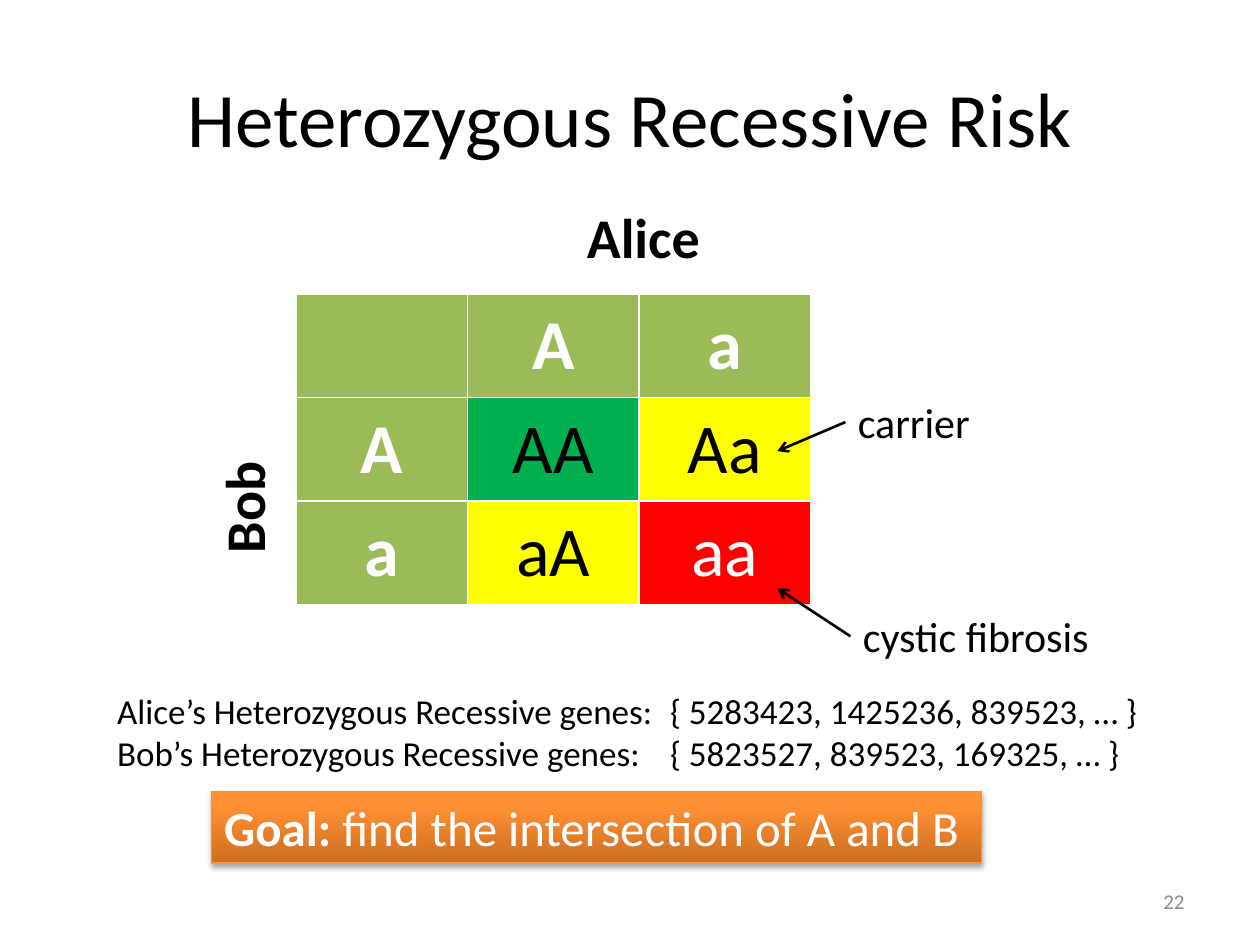
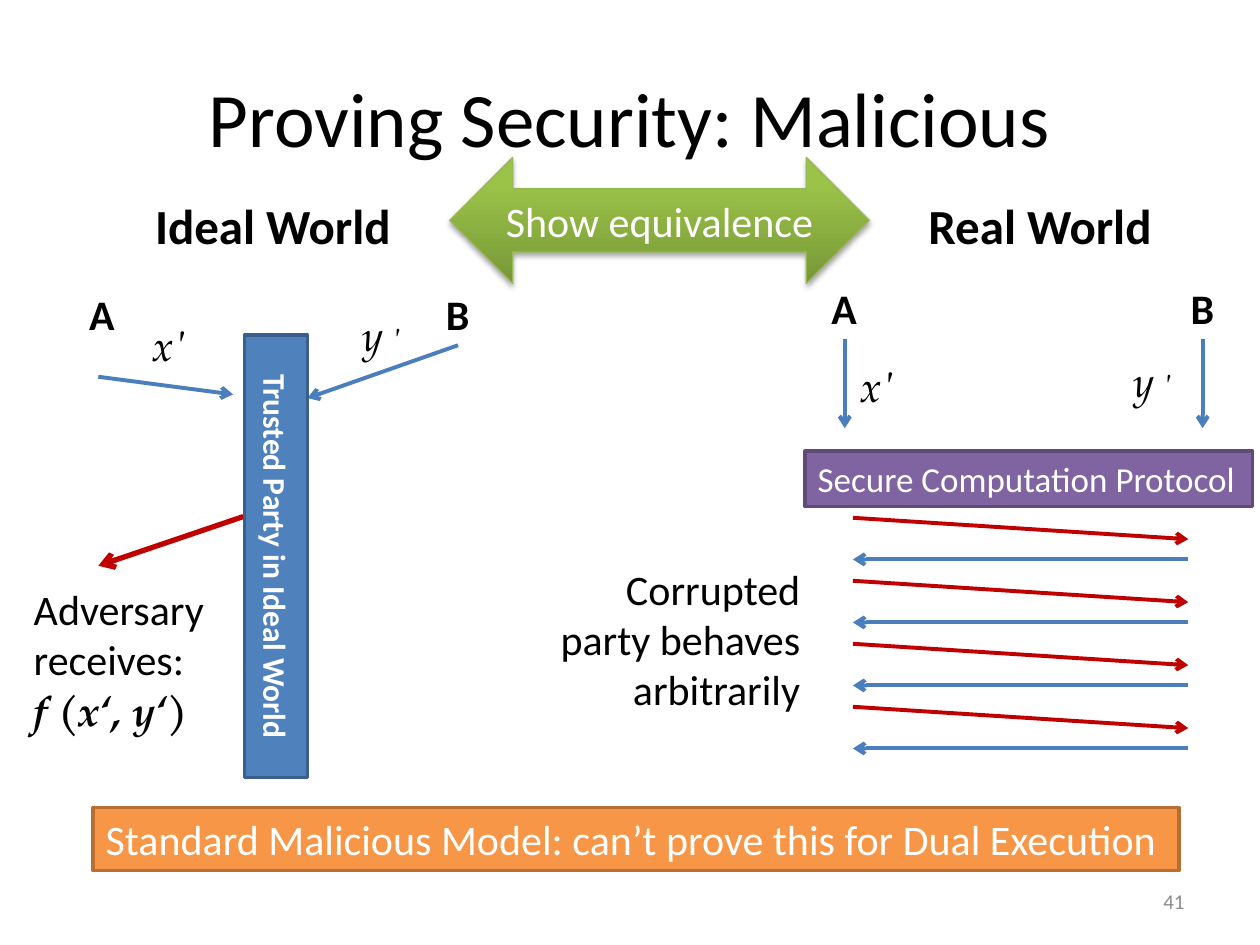
from lxml.etree import SubElement
from pptx import Presentation
from pptx.dml.color import RGBColor
from pptx.enum.shapes import MSO_CONNECTOR, MSO_SHAPE
from pptx.enum.text import MSO_ANCHOR, MSO_AUTO_SIZE, PP_ALIGN
from pptx.oxml.ns import qn
from pptx.util import Pt

BLACK = RGBColor(0x00, 0x00, 0x00)
WHITE = RGBColor(0xFF, 0xFF, 0xFF)
GREY = RGBColor(0x8C, 0x8C, 0x8C)
OLIVE = RGBColor(0x9B, 0xBB, 0x59)
GREEN = RGBColor(0x00, 0xB0, 0x50)
YELLOW = RGBColor(0xFF, 0xFF, 0x00)
RED = RGBColor(0xFF, 0x00, 0x00)
CRIMSON = RGBColor(0xC0, 0x00, 0x00)
LINE_BLUE = RGBColor(0x4B, 0x7E, 0xBC)
BLUE, BLUE_EDGE = RGBColor(0x4F, 0x81, 0xBD), RGBColor(0x3A, 0x5F, 0x8C)
ORANGE, ORANGE_EDGE = RGBColor(0xF7, 0x96, 0x46), RGBColor(0xB7, 0x6F, 0x34)
PURPLE, PURPLE_EDGE = RGBColor(0x80, 0x64, 0xA2), RGBColor(0x5F, 0x4A, 0x78)
GLOSSY_ORANGE = (RGBColor(0xCC, 0x6E, 0x20), RGBColor(0xFF, 0x90, 0x34))
GLOSSY_GREEN = (RGBColor(0x77, 0x97, 0x37), RGBColor(0x9B, 0xC3, 0x48))
GLOSSY_ORANGE_EDGE = RGBColor(0xF6, 0x92, 0x40)
GLOSSY_GREEN_EDGE = RGBColor(0x98, 0xB9, 0x55)

SANS, SERIF = "Calibri", "TeX Gyre Pagella"
CENTER, RIGHT = PP_ALIGN.CENTER, PP_ALIGN.RIGHT
TOP, LEFT, BOTTOM = 0, 1, 2

PLAIN = {"name": SANS, "size": Pt(24), "bold": False, "italic": False}
BOLD = PLAIN | {"bold": True}
MATH = PLAIN | {"name": SERIF, "italic": True}
PRIME = MATH | {"size": Pt(18)}
HEADING = BOLD | {"size": Pt(28)}
PARENT = BOLD | {"size": Pt(32)}
ALLELE = BOLD | {"size": Pt(40)}
GENOTYPE = ALLELE | {"bold": False}
SMALL = PLAIN | {"size": Pt(20)}

PUNNETT_FRAME = (169.2, 168, 294, 177.6)
PUNNETT = [
    [("", OLIVE), ("A", OLIVE), ("a", OLIVE)],
    [("A", OLIVE), ("AA", GREEN), ("Aa", YELLOW)],
    [("a", OLIVE), ("aA", YELLOW), ("aa", RED)],
]
OUTCOMES = [
    ("cystic fibrosis", (486, 345.6, 144.7, 36), (444.2, 336.2)),
    ("carrier", (483.1, 223.2, 79.2, 36), (444.2, 257.8)),
]
GENES = [
    "Alice’s Heterozygous Recessive genes:\t{ 5283423, 1425236, 839523, … }",
    "Bob’s Heterozygous Recessive genes:\t{ 5823527, 839523, 169325, … }",
]
GENE_TAB = 316
GOAL = [[("Goal:", HEADING), (" find the intersection of A and B", HEADING | {"bold": False})]]

X_INPUT = [[("x'", MATH)]]
Y_INPUT = [[("y", MATH), (" '", PRIME)]]
ADVERSARY = [
    [("Adversary receives:", PLAIN)],
    [("f (x‘, y‘", MATH | {"bold": True}), (")", BOLD | {"name": SERIF})],
]
WORLDS = [
    {"name": "Ideal World", "left": 41.8, "parties": 161.3, "A": 43.9, "B": 247.7,
     "x": (79.9, 179.3), "y": (200.2, 173.5)},
    {"name": "Real World", "left": 480.2, "parties": 157.7, "A": 468, "B": 673.2,
     "x": (484.6, 202.3), "y": (640.8, 199.4)},
]
MESSAGES = {"left": 487.4, "right": 679, "top": 295.9, "step": 36, "slope": 12.2,
            "reply": 23.8, "rounds": 4}
DROP = 51


def write(frame, paragraphs, color=BLACK, align=None):
    """Fill a text frame with paragraphs of (text, format) runs."""
    for index, spans in enumerate(paragraphs):
        para = frame.add_paragraph() if index else frame.paragraphs[0]
        para.alignment = align
        for text, style in spans:
            span = para.add_run()
            span.text = text
            for attribute, value in style.items():
                setattr(span.font, attribute, value)
            span.font.color.rgb = color


def set_frame(frame, wrap, anchor=MSO_ANCHOR.TOP, grow=True):
    """Set wrapping, anchoring and growth of a text frame."""
    size = MSO_AUTO_SIZE.SHAPE_TO_FIT_TEXT if grow else MSO_AUTO_SIZE.NONE
    settings = {"word_wrap": wrap, "vertical_anchor": anchor, "auto_size": size}
    for attribute, value in settings.items():
        setattr(frame, attribute, value)


def add_label(page, bounds, paragraphs, color=BLACK, align=None, wrap=False):
    """Add a text box and return it."""
    box = page.shapes.add_textbox(*map(Pt, bounds))
    set_frame(box.text_frame, wrap)
    write(box.text_frame, paragraphs, color, align)
    return box


def add_block(page, kind, bounds, paragraphs, fill, edge, width=2, centered=False):
    """Add a filled shape; a pair of fill colours makes it glossy."""
    box = page.shapes.add_shape(kind, *map(Pt, bounds))
    box.shadow.inherit = False
    if isinstance(fill, RGBColor):
        box.fill.solid()
        box.fill.fore_color.rgb = fill
    else:
        box.fill.gradient()
        box.fill.gradient_angle = 90
        for stop, color, position in zip(box.fill.gradient_stops, fill, (0, 0.8)):
            stop.color.rgb = color
            stop.position = position
        add_shadow(box)
    box.line.color.rgb = edge
    box.line.width = Pt(width)
    anchor = MSO_ANCHOR.MIDDLE if centered else MSO_ANCHOR.TOP
    set_frame(box.text_frame, centered, anchor, not centered)
    write(box.text_frame, paragraphs, WHITE, CENTER if centered else PP_ALIGN.LEFT)
    return box


def add_shadow(box):
    """Cast a soft shadow straight down."""
    effects = box.element.spPr.find(qn("a:effectLst"))
    shadow = SubElement(effects, qn("a:outerShdw"), blurRad="39400", dist="22900",
                        dir="5400000", rotWithShape="0")
    tint = SubElement(shadow, qn("a:srgbClr"), val=str(BLACK))
    SubElement(tint, qn("a:alpha"), val="35000")


def add_arrow(page, start, end, color=LINE_BLUE, width=2.25, source=None, side=None):
    """Draw an arrow, joined at its start to a side of source if given."""
    arrow = page.shapes.add_connector(MSO_CONNECTOR.STRAIGHT, *map(Pt, start + end))
    if source is not None:
        arrow.begin_connect(source, side)
    arrow.line.color.rgb = color
    arrow.line.width = Pt(width)
    properties = arrow.element.spPr
    SubElement(properties.find(qn("a:ln")), qn("a:tailEnd"), type="arrow")
    SubElement(properties, qn("a:effectLst"))


def add_page(deck, title, number):
    """Add a titled page with its number."""
    page = deck.slides.add_slide(deck.slide_layouts[5])
    heading = page.shapes.title
    for attribute, value in zip(("left", "top", "width", "height"), (36, 21.6, 648, 90)):
        setattr(heading, attribute, Pt(value))
    heading.text_frame.vertical_anchor = MSO_ANCHOR.MIDDLE
    write(heading.text_frame, [[(title, PLAIN | {"size": Pt(44)})]], BLACK, CENTER)
    footer = add_label(page, (516, 500.5, 168, 28.8),
                       [[(number, PLAIN | {"size": Pt(12)})]], GREY, RIGHT, True)
    set_frame(footer.text_frame, True, MSO_ANCHOR.MIDDLE, False)
    return page


def add_punnett_square(page):
    """Add the table of inherited alleles."""
    table = page.shapes.add_table(3, 3, *map(Pt, PUNNETT_FRAME)).table
    table.first_col = True
    table.horz_banding = False
    for row, values in enumerate(PUNNETT):
        for column, (text, fill) in enumerate(values):
            cell = table.cell(row, column)
            cell.fill.solid()
            cell.fill.fore_color.rgb = fill
            cell.vertical_anchor = MSO_ANCHOR.MIDDLE
            if text:
                style = ALLELE if fill == OLIVE else GENOTYPE
                color = WHITE if fill in (OLIVE, RED) else BLACK
                write(cell.text_frame, [[(text, style)]], color, CENTER)


def build_risk(deck):
    """Build the recessive risk page."""
    page = add_page(deck, "Heterozygous Recessive Risk", "22")
    add_punnett_square(page)
    add_label(page, (328.3, 112.3, 80, 46), [[("Alice", PARENT)]])
    add_label(page, (105.1, 266.4, 67.7, 46), [[("Bob", PARENT)]]).rotation = 270
    for text, bounds, target in OUTCOMES:
        box = add_label(page, bounds, [[(text, PLAIN)]])
        start = (bounds[0], bounds[1] + bounds[3] / 2)
        add_arrow(page, start, target, BLACK, 1.5, box, LEFT)
    add_block(page, MSO_SHAPE.RECTANGLE, (121, 452.2, 440, 41), GOAL,
              GLOSSY_ORANGE, GLOSSY_ORANGE_EDGE, 0.75)
    genes = add_label(page, (59.8, 390.2, 610.6, 55.4), [[(line, SMALL)] for line in GENES])
    for para in genes.text_frame.paragraphs:
        tabs = SubElement(para._p.get_or_add_pPr(), qn("a:tabLst"))
        SubElement(tabs, qn("a:tab"), pos=str(Pt(GENE_TAB)), algn="l")


def add_world(page, world):
    """Add a world's heading, inputs and parties; return the party boxes."""
    add_label(page, (world["left"], 108, 228.2, 41), [[(world["name"], HEADING)]],
              align=CENTER, wrap=True)
    add_label(page, world["x"] + (38.9, 36), X_INPUT, wrap=True)
    add_label(page, world["y"] + (37.4, 36), Y_INPUT)
    return [add_label(page, (world[party], world["parties"], width, 36), [[(party, BOLD)]])
            for party, width in (("A", 29.5), ("B", 28.1))]


def add_messages(page):
    """Add the rounds of corrupted messages and honest replies."""
    left, right = MESSAGES["left"], MESSAGES["right"]
    for turn in range(MESSAGES["rounds"]):
        top = MESSAGES["top"] + turn * MESSAGES["step"]
        reply = top + MESSAGES["reply"]
        add_arrow(page, (left, top), (right, top + MESSAGES["slope"]), CRIMSON)
        add_arrow(page, (right, reply), (left, reply))


def build_proof(deck):
    """Build the malicious security page."""
    page = add_page(deck, "Proving Security: Malicious", "41")
    (ideal_a, ideal_b), real_parties = [add_world(page, world) for world in WORLDS]
    bottom = (ideal_b.top + ideal_b.height).pt if hasattr(ideal_b.top + ideal_b.height, "pt") \
        else WORLDS[0]["parties"] + 36
    add_arrow(page, (WORLDS[0]["B"] + 14, bottom), (175.7, 227.5), source=ideal_b, side=BOTTOM)
    add_arrow(page, (56.2, 215.3), (133.2, 225.4))
    add_label(page, (12.2, 329.8, 121.7, 94.3), ADVERSARY, wrap=True)
    add_arrow(page, (139, 295.2), (56.2, 323.3), CRIMSON, 3)
    trusted = add_block(page, MSO_SHAPE.RECTANGLE, (139.7, 191.5, 36, 252.7),
                        [[("Trusted Party in Ideal World", BOLD | {"size": Pt(18)})]],
                        BLUE, BLUE_EDGE, centered=True)
    trusted.element.txBody.bodyPr.set("vert", "vert")
    add_block(page, MSO_SHAPE.RECTANGLE, (53.3, 461.5, 620.6, 36),
              [[("Standard Malicious Model: can’t prove this for Dual Execution", PLAIN)]],
              ORANGE, ORANGE_EDGE)
    for box in real_parties:
        center = box.left.pt + box.width.pt / 2
        base = box.top.pt + box.height.pt
        add_arrow(page, (center, base), (center, base + DROP), source=box, side=BOTTOM)
    add_block(page, MSO_SHAPE.LEFT_RIGHT_ARROW, (257, 90, 239.8, 72),
              [[("Show equivalence", PLAIN)]], GLOSSY_GREEN, GLOSSY_GREEN_EDGE, 0.75, True)
    add_messages(page)
    add_label(page, (306, 318.2, 158.4, 94.3),
              [[("Corrupted party behaves arbitrarily", PLAIN)]], align=RIGHT, wrap=True)
    add_block(page, MSO_SHAPE.RECTANGLE, (460.1, 257.8, 255.6, 31.7),
              [[("Secure Computation Protocol", SMALL)]], PURPLE, PURPLE_EDGE)


def main():
    """Build and save the deck."""
    deck = Presentation()
    deck.slide_width, deck.slide_height = Pt(720), Pt(540)
    build_risk(deck)
    build_proof(deck)
    deck.save("out.pptx")


if __name__ == "__main__":
    main()
